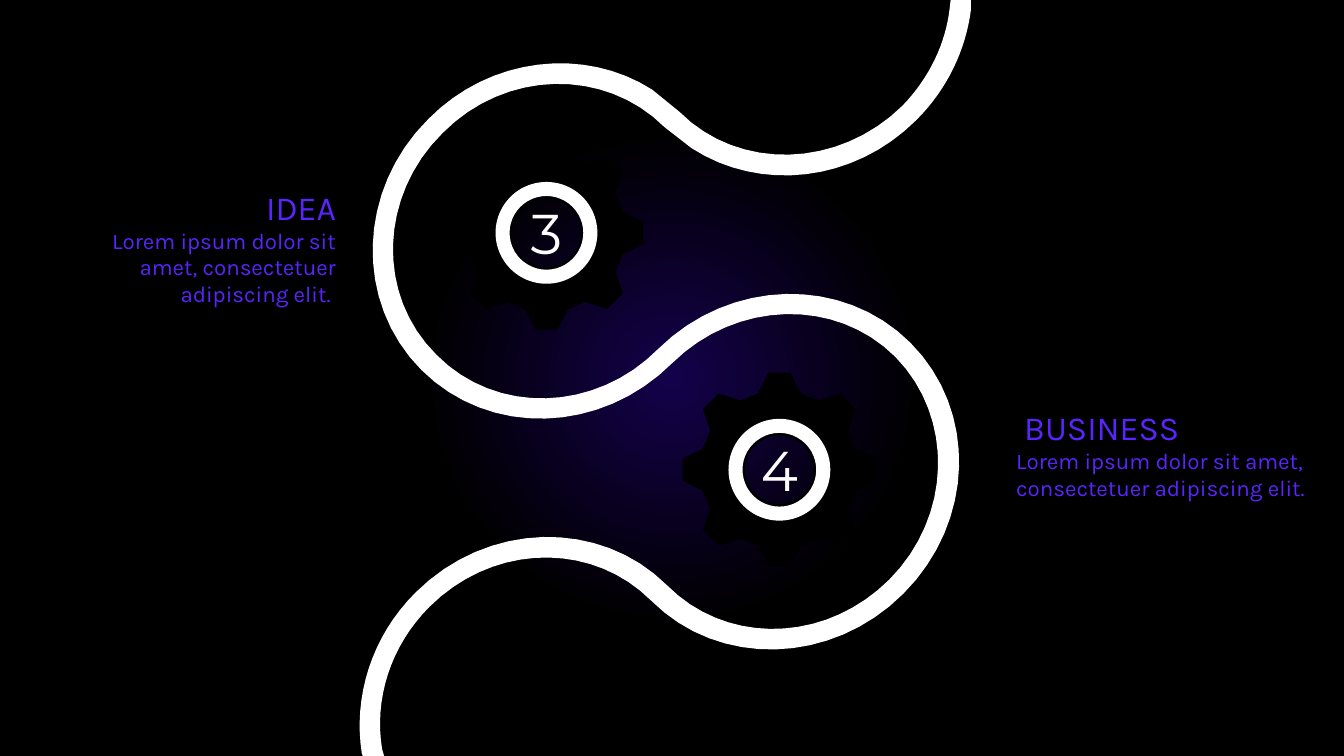
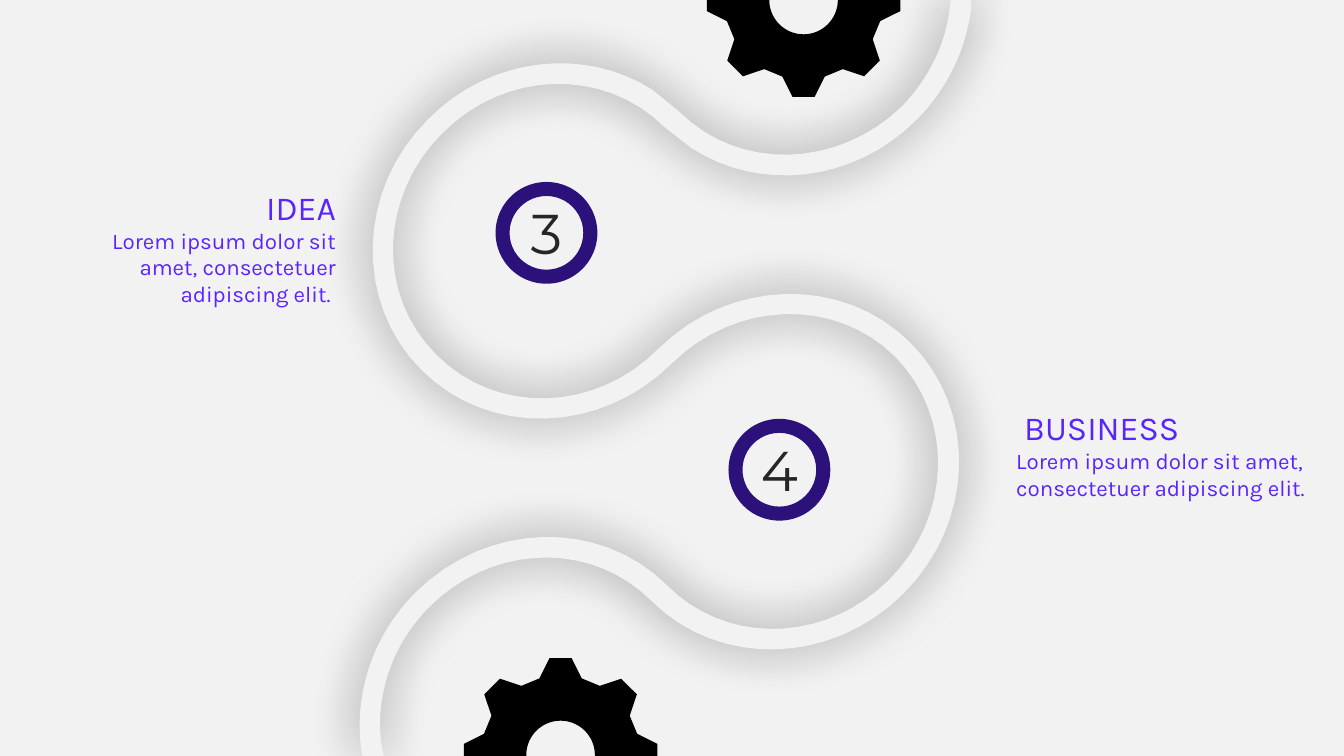
import math
from dataclasses import dataclass

from lxml import etree
from pptx import Presentation
from pptx.dml.color import RGBColor
from pptx.enum.shapes import MSO_SHAPE
from pptx.enum.text import MSO_AUTO_SIZE, PP_ALIGN
from pptx.oxml.ns import qn
from pptx.util import Inches, Pt

RECT, DONUT = MSO_SHAPE.RECTANGLE, MSO_SHAPE.DONUT
LEFT, CENTER, RIGHT = PP_ALIGN.LEFT, PP_ALIGN.CENTER, PP_ALIGN.RIGHT
FIT_SHAPE = MSO_AUTO_SIZE.SHAPE_TO_FIT_TEXT

# Shared style
WIDTH, HEIGHT = 13.33, 7.5
BLACK, WHITE, PAPER, INK = "000000", "FFFFFF", "F2F2F2", "262626"
GLOW, VIOLET, INDIGO = "14014B", "5A24FD", "2C117B"
TEXT_FONT, NUMBER_FONT = "Karla", "Montserrat"
GEAR_TEETH, GEAR_HOLE = 8, 0.34
RING_SIZE, RING_BAND = 1.01, 0.138
CURVE_STEPS = 16

# Winding road outline: pairs are line ends, sextets are Bezier curves
ROAD_START = (9.43, -0.01)
ROAD = [
    # Outer edge, top to bottom
    (9.63, -0.01), (9.63, 0.1),
    (9.58, 0.49, 9.4, 0.88, 9.09, 1.19),
    (8.47, 1.81, 7.54, 1.91, 6.86, 1.47),
    (6.59, 1.26),
    (6, 0.67, 5.01, 0.69, 4.39, 1.32),
    (3.76, 1.94, 3.73, 2.93, 4.33, 3.52),
    (4.92, 4.12, 5.91, 4.09, 6.53, 3.46),
    (7.24, 2.76, 8.36, 2.73, 9.03, 3.4),
    (9.7, 4.07, 9.67, 5.18, 8.96, 5.89),
    (8.25, 6.6, 7.13, 6.63, 6.46, 5.96),
    (6.35, 5.86),
    (5.75, 5.37, 4.85, 5.43, 4.26, 6.02),
    (3.87, 6.41, 3.71, 6.94, 3.79, 7.43),
    (3.81, 7.5),
    # Back up along the other edge
    (3.6, 7.5), (3.59, 7.48),
    (3.5, 6.92, 3.68, 6.32, 4.12, 5.88),
    (4.83, 5.17, 5.95, 5.14, 6.62, 5.81),
    (6.73, 5.91),
    (7.33, 6.4, 8.23, 6.34, 8.82, 5.75),
    (9.44, 5.13, 9.47, 4.14, 8.88, 3.54),
    (8.29, 2.95, 7.3, 2.98, 6.67, 3.6),
    (5.96, 4.31, 4.85, 4.34, 4.18, 3.67),
    (3.51, 3, 3.54, 1.88, 4.25, 1.18),
    (4.86, 0.56, 5.8, 0.46, 6.47, 0.89),
    (6.74, 1.11),
    (7.33, 1.7, 8.32, 1.67, 8.95, 1.05),
    (9.22, 0.77, 9.38, 0.43, 9.42, 0.08),
]


@dataclass(frozen=True)
class Step:
    number: str
    title: str
    body: str
    center: tuple
    text_box: tuple
    align: PP_ALIGN


@dataclass(frozen=True)
class Theme:
    panel: str | None
    road: str
    road_shadow: bool
    ring: str
    number: str
    gear_centers: tuple


STEPS = [
    Step("3", "IDEA", "Lorem ipsum dolor sit amet, consectetuer adipiscing elit. ",
         (5.42, 2.31), (0.49, 1.8, 2.94, 1.35), RIGHT),
    Step("4", " BUSINESS", "Lorem ipsum dolor sit amet, consectetuer adipiscing elit.",
         (7.73, 4.66), (9.98, 3.99, 3.35, 1.35), LEFT),
]
THEMES = [
    Theme(None, WHITE, False, WHITE, WHITE, tuple(step.center for step in STEPS)),
    Theme(PAPER, PAPER, True, INDIGO, INK, ((5.56, 7.49), (7.97, 0))),
]


def rgb(color: str) -> RGBColor:
    return RGBColor.from_string(color)


def paint(sp, color: str) -> None:
    sp.fill.solid()
    sp.fill.fore_color.rgb = rgb(color)
    sp.line.fill.background()
    sp.shadow.inherit = False


def add_preset(s, kind, box: tuple, color: str):
    sp = s.shapes.add_shape(kind, *map(Inches, box))
    paint(sp, color)
    return sp


def add_outline(s, contours: list, color: str):
    builder = None
    for contour in contours:
        first, *rest = [(Inches(x), Inches(y)) for x, y in contour]
        if builder is None:
            builder = s.shapes.build_freeform(*first)
        else:
            builder.move_to(*first)
        builder.add_line_segments(rest, close=True)
    sp = builder.convert_to_shape()
    paint(sp, color)
    return sp


def add_text(s, box: tuple, lines: list, font: str, color: str, align) -> None:
    tf = s.shapes.add_textbox(*map(Inches, box)).text_frame
    tf.word_wrap = True
    tf.auto_size = FIT_SHAPE
    for i, (text, size) in enumerate(lines):
        p = tf.add_paragraph() if i else tf.paragraphs[0]
        p.alignment = align
        r = p.add_run()
        r.text = text
        r.font.name = font
        r.font.size = Pt(size)
        r.font.color.rgb = rgb(color)


def centered(center: tuple, width: float, height: float) -> tuple:
    return center[0] - width / 2, center[1] - height / 2, width, height


def road_points() -> list:
    points = [ROAD_START]
    for part in ROAD:
        if len(part) == 2:
            points.append(part)
            continue
        ctrl = [points[-1], part[:2], part[2:4], part[4:]]
        for step in range(1, CURVE_STEPS + 1):
            t = step / CURVE_STEPS
            weights = [math.comb(3, k) * t**k * (1 - t)**(3 - k) for k in range(4)]
            points.append(tuple(sum(w * c[axis] for w, c in zip(weights, ctrl))
                                for axis in (0, 1)))
    return points


def add_soft_shadow(sp, color: str, opacity: int, blur: float) -> None:
    effects = sp.element.spPr.find(qn("a:effectLst"))
    shadow = etree.SubElement(effects, qn("a:outerShdw"), blurRad=str(Pt(blur)),
                              dist="0", dir="0", algn="ctr", rotWithShape="0")
    clr = etree.SubElement(shadow, qn("a:srgbClr"), val=color)
    etree.SubElement(clr, qn("a:alpha"), val=str(opacity * 1000))


def add_gear(s, center: tuple, color: str) -> None:
    cx, cy = center
    tooth = [(0.76, -0.21), (0.96, -0.11), (0.96, 0.11), (0.76, 0.21)]
    rim = []
    for i in range(GEAR_TEETH):
        a = math.tau * i / GEAR_TEETH
        rim += [(cx + x * math.cos(a) - y * math.sin(a),
                 cy + x * math.sin(a) + y * math.cos(a)) for x, y in tooth]
    angles = [-math.tau * i / 72 for i in range(72)]
    hole = [(cx + GEAR_HOLE * math.cos(a), cy + GEAR_HOLE * math.sin(a)) for a in angles]
    add_outline(s, [rim, hole], color)


def set_glow_background(master) -> None:
    fill = master.background.fill
    fill.gradient()
    for stop, position, color in zip(fill.gradient_stops, (0, 0.32), (GLOW, BLACK)):
        stop.position = position
        stop.color.rgb = rgb(color)
    grad = master.element.find(".//" + qn("a:gradFill"))
    grad.remove(grad.find(qn("a:lin")))
    circle = etree.SubElement(grad, qn("a:path"), path="circle")
    etree.SubElement(circle, qn("a:fillToRect"), l="50000", t="50000", r="50000", b="50000")


def add_roadmap(prs, theme: Theme) -> None:
    s = prs.slides.add_slide(prs.slide_layouts[6])
    # Panel, road and gears
    if theme.panel:
        add_preset(s, RECT, (0, 0, WIDTH, HEIGHT), theme.panel)
    road = add_outline(s, [road_points()], theme.road)
    if theme.road_shadow:
        add_soft_shadow(road, BLACK, 40, 35)
    for center in theme.gear_centers:
        add_gear(s, center, BLACK)
    # Numbered steps
    for step in STEPS:
        ring = add_preset(s, DONUT, centered(step.center, RING_SIZE, RING_SIZE), theme.ring)
        ring.adjustments[0] = RING_BAND
        add_text(s, step.text_box, [(step.title, 24), (step.body, 16)],
                 TEXT_FONT, VIOLET, step.align)
        add_text(s, centered(step.center, 0.88, 0.77), [(step.number, 40)],
                 NUMBER_FONT, theme.number, CENTER)


def main() -> None:
    prs = Presentation()
    prs.slide_width, prs.slide_height = Inches(WIDTH), Inches(HEIGHT)
    set_glow_background(prs.slide_master)
    for theme in THEMES:
        add_roadmap(prs, theme)
    prs.save("out.pptx")


if __name__ == "__main__":
    main()
